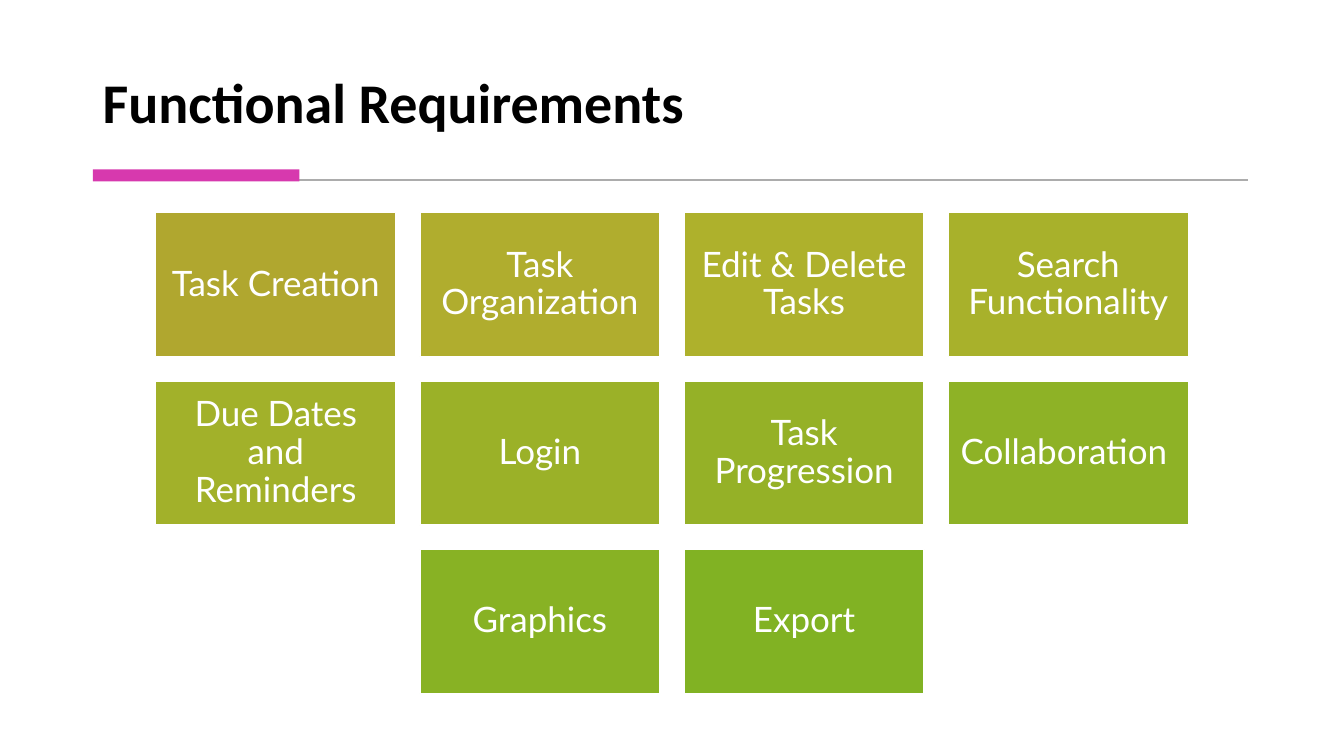
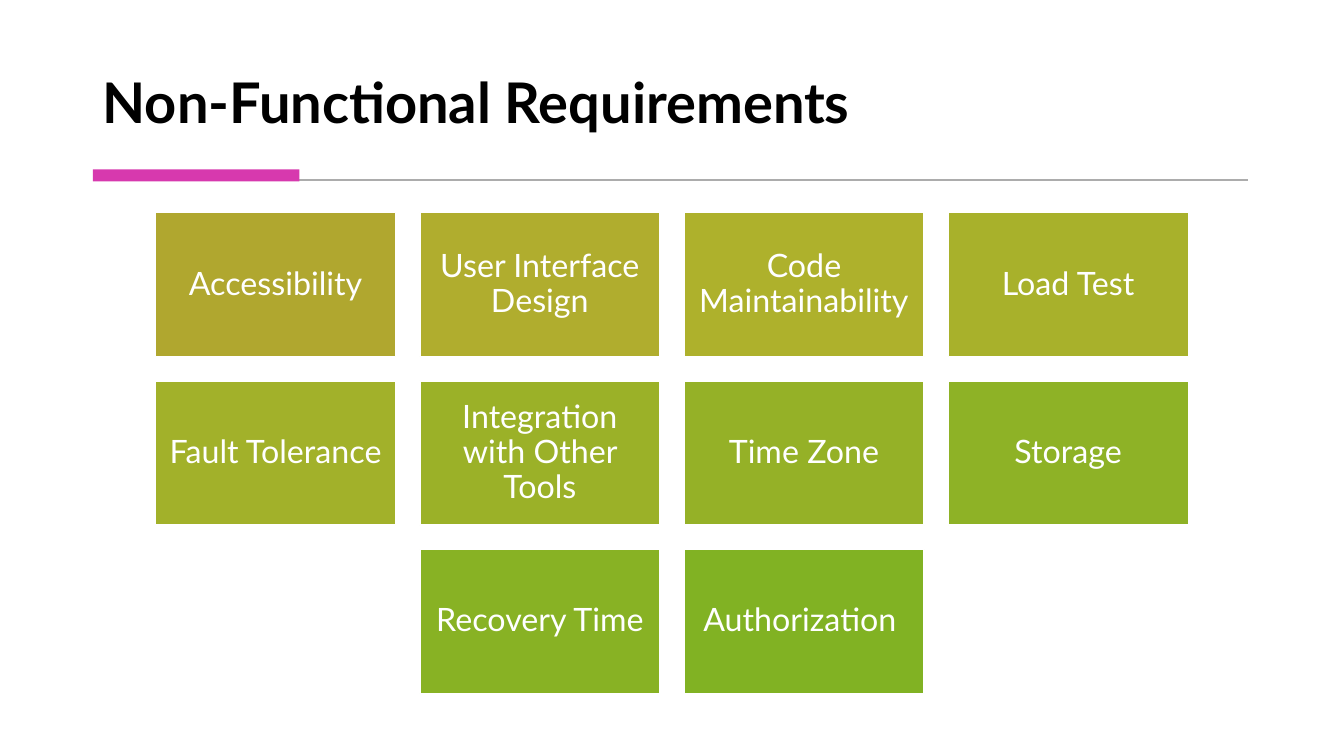
"""Build two requirement slides, each a titled grid of coloured tiles."""
from pptx import Presentation
from pptx.dml.color import RGBColor
from pptx.enum import shapes, text
from pptx.oxml.ns import qn
from pptx.util import Inches, Pt

WHITE = RGBColor(0xFF, 0xFF, 0xFF)
BLACK = RGBColor(0x00, 0x00, 0x00)
GREY = RGBColor(0xAC, 0xAC, 0xAC)
PINK = RGBColor(0xD7, 0x39, 0xAE)
TILE_COLOURS = [RGBColor.from_string(code) for code in (
    "B0A72F", "B0AD2E", "AEB12C", "A8B12B", "A2B12A",
    "9BB128", "95B127", "8EB226", "88B224", "81B223")]

SLIDE_WIDTH, SLIDE_HEIGHT = 13.33, 7.5
COLUMNS = 4
TILE_WIDTH, TILE_HEIGHT, GAP = 2.38, 1.43, 0.24
GRID_TOP = 2.11
BODY_FONT = "Lato"

SLIDES = [
    ("Functional Requirements", "Calibri", 25, [
        "Task Creation", "Task Organization", "Edit & Delete Tasks",
        "Search Functionality", "Due Dates and Reminders", "Login",
        "Task Progression", "Collaboration ", "Graphics", "Export"]),
    ("Non-Functional Requirements", "Lato", 23, [
        "Accessibility", "User Interface Design", "Code Maintainability",
        "Load Test", "Fault Tolerance", "Integration with Other Tools",
        "Time Zone", "Storage", "Recovery Time", "Authorization "]),
]


def write_text(shape, words, font, size, colour, anchor, align, bold=False):
    frame = shape.text_frame
    frame.word_wrap = True
    frame.vertical_anchor = anchor
    para = frame.paragraphs[0]
    para.text = words
    para.alignment = align
    para.line_spacing = 0.9
    para.font.name = font
    para.font.size = Pt(size)
    para.font.bold = bold
    para.font.color.rgb = colour


def add_block(page, left, top, width, height, fill):
    block = page.shapes.add_shape(
        shapes.MSO_SHAPE.RECTANGLE,
        Inches(left), Inches(top), Inches(width), Inches(height))
    block.shadow.inherit = False
    block.fill.solid()
    block.fill.fore_color.rgb = fill
    block.line.fill.background()
    return block


def add_header(page, title, font):
    box = page.shapes.add_textbox(
        Inches(0.92), Inches(0.28), Inches(11.49), Inches(1.11))
    write_text(box, title, font, 40, BLACK,
               text.MSO_ANCHOR.BOTTOM, text.PP_ALIGN.LEFT, bold=True)
    rule = page.shapes.add_connector(
        shapes.MSO_CONNECTOR.STRAIGHT,
        Inches(0.95), Inches(1.79), Inches(12.38), Inches(1.79))
    rule.line.color.rgb = GREY
    rule.line.width = Pt(1.5)
    properties = rule._element.spPr
    properties.append(properties.makeelement(qn("a:effectLst"), {}))
    add_block(page, 0.92, 1.68, 2.05, 0.12, PINK)


def add_tile(page, left, top, label, fill, size):
    tile = add_block(page, left, top, TILE_WIDTH, TILE_HEIGHT, fill)
    tile.line.color.rgb = WHITE
    tile.line.width = Pt(1)
    frame = tile.text_frame
    frame.margin_left = frame.margin_right = Inches(0.1)
    frame.margin_top = frame.margin_bottom = Inches(0.1)
    write_text(tile, label, BODY_FONT, size, WHITE,
               text.MSO_ANCHOR.MIDDLE, text.PP_ALIGN.CENTER)


def add_tile_grid(page, labels, size):
    for index, label in enumerate(labels):
        row, column = divmod(index, COLUMNS)
        in_row = min(COLUMNS, len(labels) - row * COLUMNS)
        row_width = in_row * (TILE_WIDTH + GAP) - GAP
        left = (SLIDE_WIDTH - row_width) / 2 + column * (TILE_WIDTH + GAP)
        top = GRID_TOP + row * (TILE_HEIGHT + GAP)
        add_tile(page, left, top, label, TILE_COLOURS[index], size)


def main():
    deck = Presentation()
    deck.slide_width = Inches(SLIDE_WIDTH)
    deck.slide_height = Inches(SLIDE_HEIGHT)
    for title, title_font, tile_size, labels in SLIDES:
        page = deck.slides.add_slide(deck.slide_layouts[6])
        add_header(page, title, title_font)
        add_tile_grid(page, labels, tile_size)
    deck.save("out.pptx")


if __name__ == "__main__":
    main()
